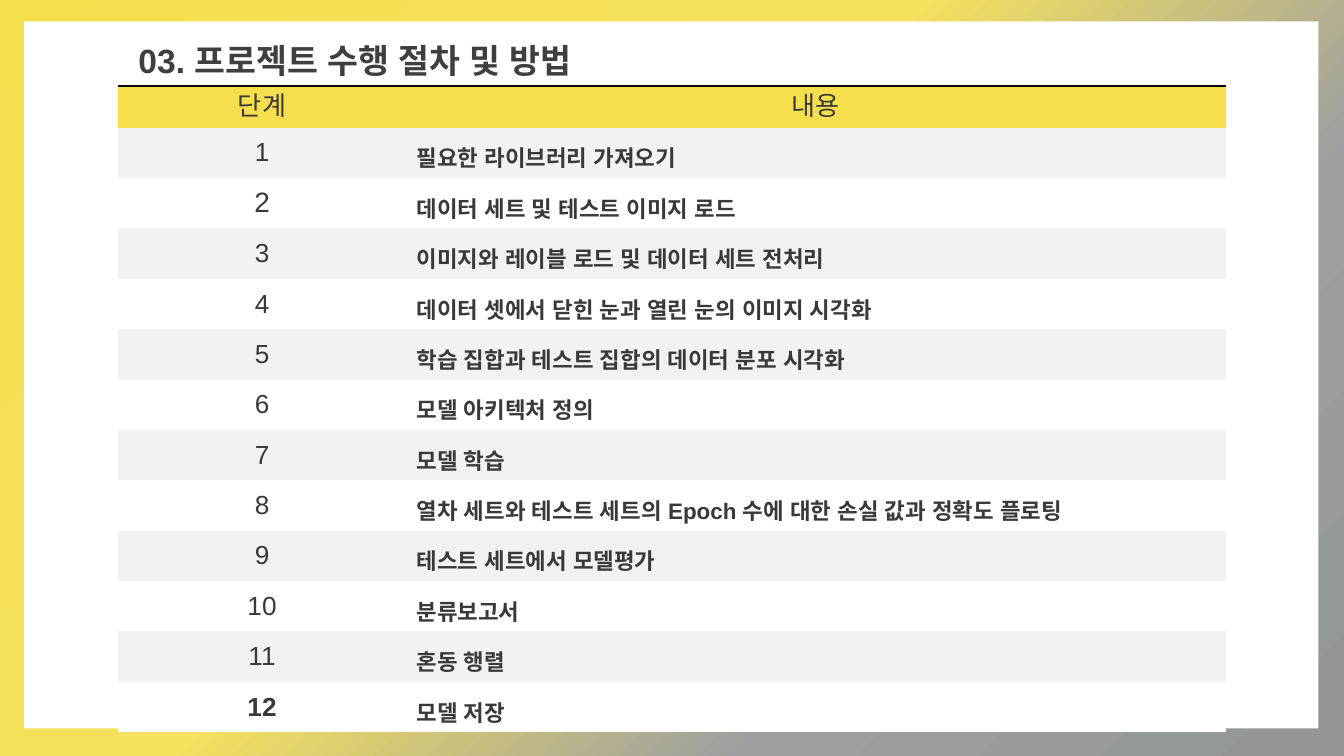
"""Build the slide listing the project's steps and their contents."""
from lxml import etree
from pptx import Presentation
from pptx.dml.color import RGBColor
from pptx.enum.shapes import MSO_SHAPE
from pptx.enum.text import MSO_ANCHOR, MSO_AUTO_SIZE, PP_ALIGN
from pptx.oxml import parse_xml
from pptx.oxml.ns import qn
from pptx.util import Inches, Pt

RECT = MSO_SHAPE.RECTANGLE
MIDDLE = MSO_ANCHOR.MIDDLE
FIT_SHAPE = MSO_AUTO_SIZE.SHAPE_TO_FIT_TEXT
LEFT, CENTER = PP_ALIGN.LEFT, PP_ALIGN.CENTER
NS = "http://schemas.openxmlformats.org/drawingml/2006/main"
NO_STYLE = "{2D5ABB26-0587-4C30-8999-92F81FD0307C}"

TITLE = "03. 프로젝트 수행 절차 및 방법"
HEADERS = ["단계", "내용"]
STEPS = [
    "필요한 라이브러리 가져오기",
    "데이터 세트 및 테스트 이미지 로드",
    "이미지와 레이블 로드 및 데이터 세트 전처리",
    "데이터 셋에서 닫힌 눈과 열린 눈의 이미지 시각화",
    "학습 집합과 테스트 집합의 데이터 분포 시각화",
    "모델 아키텍처 정의",
    "모델 학습",
    "열차 세트와 테스트 세트의 Epoch 수에 대한 손실 값과 정확도 플로팅",
    "테스트 세트에서 모델평가",
    "분류보고서",
    "혼동 행렬",
    "모델 저장",
]
GRADIENT = [(0, "F5DF4D", 100), (44, "F5E15E", 69), (71, "9D9FA0", 69), (100, "939597", 100)]
YELLOW, GREY, WHITE, INK = "F5DF4D", "F2F2F2", "FFFFFF", "3A3838"
FONT = "Arial"
COLUMNS = [2.14, 6.1]
TABLE_LEFT, TABLE_TOP, TABLE_HEIGHT, HEADER_HEIGHT = 0.88, 0.64, 4.81, 0.31


def rgb(color):
    """Turn a hex string into a colour."""
    return RGBColor.from_string(color)


def write(tf, text, size=14, color=INK, bold=False, align=LEFT, spacing=None):
    """Put one formatted paragraph into a text frame."""
    p = tf.paragraphs[0]
    p.alignment = align
    if spacing:
        p.line_spacing = spacing
    r = p.add_run()
    r.text = text
    r.font.name, r.font.size, r.font.bold = FONT, Pt(size), bold
    r.font.color.rgb = rgb(color)
    etree.SubElement(r._r.get_or_add_rPr(), qn("a:ea"), typeface=FONT)


def set_margins(target, side, end):
    """Set the inner margins of a cell or text frame."""
    target.margin_left = target.margin_right = Inches(side)
    target.margin_top = target.margin_bottom = Inches(end)


def paint_background(s):
    """Fill the slide with the diagonal gradient."""
    fill = s.background.fill
    fill.gradient()
    grad = s.background._cSld.find(".//" + qn("a:gradFill"))
    for child in list(grad):
        grad.remove(child)
    stops = etree.SubElement(grad, qn("a:gsLst"))
    for pos, color, alpha in GRADIENT:
        stop = etree.SubElement(stops, qn("a:gs"), pos=str(pos * 1000))
        clr = etree.SubElement(stop, qn("a:srgbClr"), val=color)
        if alpha < 100:
            etree.SubElement(clr, qn("a:alpha"), val=str(alpha * 1000))
    etree.SubElement(grad, qn("a:lin"), ang=str(45 * 60000), scaled="0")


def fill_cell(cell, text, fill, **text_format):
    """Colour a table cell and write its text."""
    cell.fill.solid()
    cell.fill.fore_color.rgb = rgb(fill)
    cell.vertical_anchor = MIDDLE
    set_margins(cell, 0.08, 0.04)
    write(cell.text_frame, text, **text_format)


def add_top_border(cell):
    """Draw a thin black line above a cell."""
    cell._tc.get_or_add_tcPr().insert(0, parse_xml(
        f'<a:lnT xmlns:a="{NS}" w="{Pt(0.75)}"><a:solidFill>'
        '<a:srgbClr val="000000"/></a:solidFill></a:lnT>'))


def add_steps(s):
    """Add the table of steps."""
    frame = s.shapes.add_table(
        len(STEPS) + 1, len(COLUMNS), Inches(TABLE_LEFT), Inches(TABLE_TOP),
        Inches(sum(COLUMNS)), Inches(TABLE_HEIGHT))
    table = frame.table
    table.first_row = table.horz_banding = False
    table._tbl.tblPr.find(qn("a:tableStyleId")).text = NO_STYLE
    for column, width in zip(table.columns, COLUMNS):
        column.width = Inches(width)
    for row in table.rows:
        row.height = Inches((TABLE_HEIGHT - HEADER_HEIGHT) / len(STEPS))
    table.rows[0].height = Inches(HEADER_HEIGHT)
    for col, header in enumerate(HEADERS):
        fill_cell(table.cell(0, col), header, YELLOW, align=CENTER)
        add_top_border(table.cell(0, col))
    for number, step in enumerate(STEPS, 1):
        fill = GREY if number % 2 else WHITE
        fill_cell(table.cell(number, 0), str(number), fill, align=CENTER,
                  size=15 if number == 2 else 14, bold=number == len(STEPS))
        fill_cell(table.cell(number, 1), step, fill, size=12, bold=True, spacing=1.5)


def main():
    """Build and save the slide."""
    prs = Presentation()
    prs.slide_width = Inches(10)
    prs.slide_height = prs.slide_width * 9 // 16
    s = prs.slides.add_slide(prs.slide_layouts[6])
    paint_background(s)

    panel = s.shapes.add_shape(RECT, Inches(0.18), Inches(0.16), Inches(9.63), Inches(5.26))
    panel.shadow.inherit = False
    panel.fill.solid()
    panel.fill.fore_color.rgb = rgb(WHITE)
    panel.line.fill.background()

    add_steps(s)

    title = s.shapes.add_textbox(Inches(0.96), Inches(0.26), Inches(4.01), Inches(0.38))
    tf = title.text_frame
    tf.word_wrap = True
    tf.auto_size = FIT_SHAPE
    set_margins(tf, 0.07, 0.04)
    write(tf, TITLE, size=18, color="3F3F3F", bold=True)
    prs.save("out.pptx")


if __name__ == "__main__":
    main()
